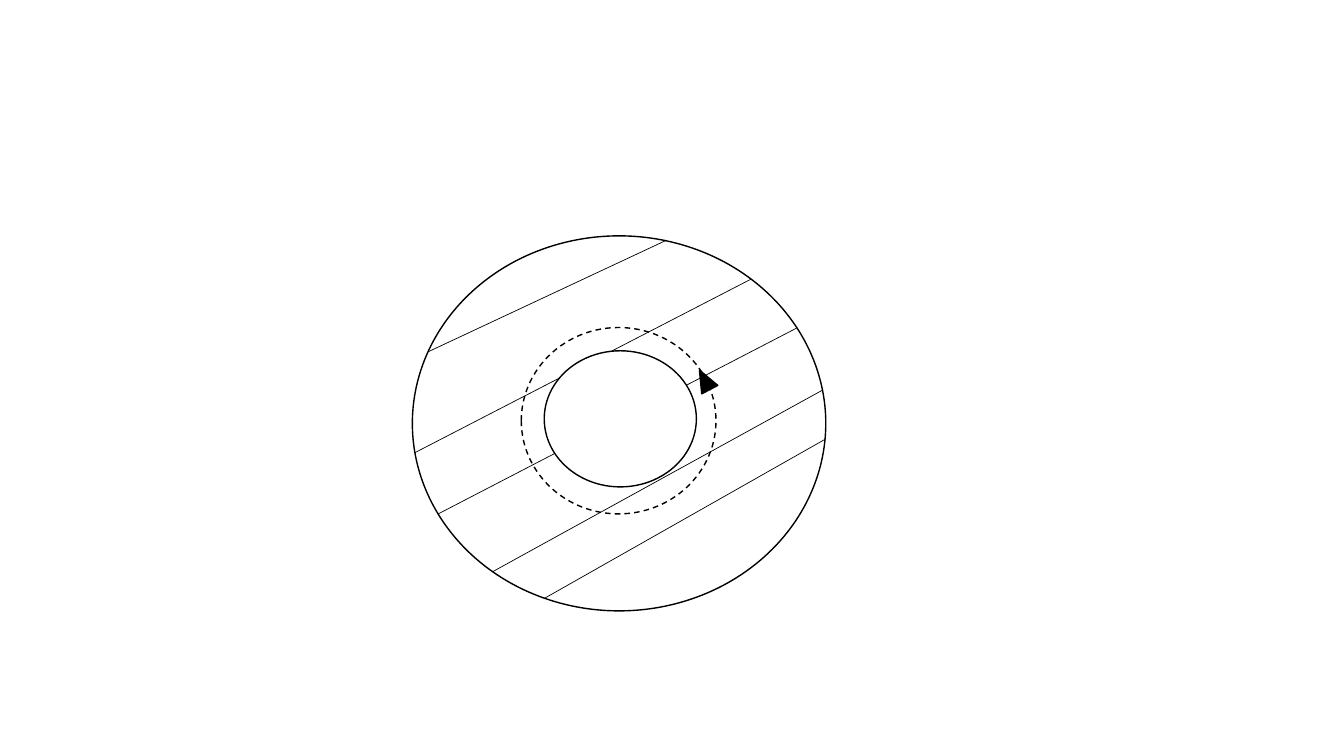
from dataclasses import dataclass
from math import cos, radians, sin

from lxml.etree import SubElement
from pptx import Presentation
from pptx.dml.color import RGBColor
from pptx.enum.dml import MSO_LINE
from pptx.enum.shapes import MSO_CONNECTOR, MSO_SHAPE
from pptx.oxml.ns import qn
from pptx.util import Inches, Pt


@dataclass(frozen=True)
class Theme:
    """Colours and line widths of the drawing."""
    ink: RGBColor = RGBColor(0, 0, 0)
    paper: RGBColor = RGBColor(255, 255, 255)
    outline: Pt = Pt(1)
    hatch: Pt = Pt(0.5)


@dataclass(frozen=True)
class Box:
    """A rectangle whose parts are given in percent of its size."""
    left: float
    top: float
    width: float
    height: float

    def point(self, across, down):
        """Return the position of a point inside the box."""
        return (round(self.left + self.width * across / 100),
                round(self.top + self.height * down / 100))

    def centred(self, across, down, width, height):
        """Return an inner box around the given centre."""
        left, top = self.point(across - width / 2, down - height / 2)
        return Box(left, top, round(self.width * width / 100),
                   round(self.height * height / 100))

    def rim(self, degrees):
        """Return the point of the inscribed ellipse, clockwise from the right."""
        angle = radians(degrees)
        return self.point(50 + 50 * cos(angle), 50 + 50 * sin(angle))


THEME = Theme()
HATCH_ANGLES = [(-77, 202.4), (-50.3, 171), (-30.6, 151.1),
                (-10.2, 127.7), (4.9, 111.1)]


def add_outlined(page, kind, box, fill=None):
    """Add a preset shape with a black outline and an optional fill."""
    shape = page.shapes.add_shape(kind, box.left, box.top, box.width, box.height)
    shape.shadow.inherit = False
    if fill is None:
        shape.fill.background()
    else:
        shape.fill.solid()
        shape.fill.fore_color.rgb = fill
    shape.line.color.rgb = THEME.ink
    shape.line.width = THEME.outline
    return shape


def add_hatching(page, disc):
    """Draw each hatch line as a chord of the disc."""
    for start, end in HATCH_ANGLES:
        line = page.shapes.add_connector(
            MSO_CONNECTOR.STRAIGHT, *disc.rim(start), *disc.rim(end))
        line.line.color.rgb = THEME.ink
        line.line.width = THEME.hatch
        SubElement(line._element.spPr, qn("a:effectLst"))


def add_circulation(page, disc):
    """Draw the dashed loop and its arrowhead around the bore."""
    loop = add_outlined(page, MSO_SHAPE.OVAL, disc.centred(49.9, 49.3, 47.1, 49.7))
    loop.line.dash_style = MSO_LINE.DASH
    arrowhead = add_outlined(page, MSO_SHAPE.ISOSCELES_TRIANGLE,
                             disc.centred(70.7, 38.4, 4.4, 5.9), THEME.ink)
    arrowhead.rotation = 332.2


def add_hatched_ring(page, disc):
    """Draw the hatched disc, the loop and the empty bore from back to front."""
    add_outlined(page, MSO_SHAPE.OVAL, disc, THEME.paper)
    add_hatching(page, disc)
    add_circulation(page, disc)
    add_outlined(page, MSO_SHAPE.OVAL,
                 disc.centred(50.3, 48.8, 36.8, 36.3), THEME.paper)


def main():
    """Build and save the deck."""
    deck = Presentation()
    deck.slide_width, deck.slide_height = Inches(13.33), Inches(7.5)
    page = deck.slides.add_slide(deck.slide_layouts[6])
    sheet = Box(0, 0, deck.slide_width, deck.slide_height)
    add_hatched_ring(page, sheet.centred(46.06, 56, 30.76, 49.6))
    deck.save("out.pptx")


main()
